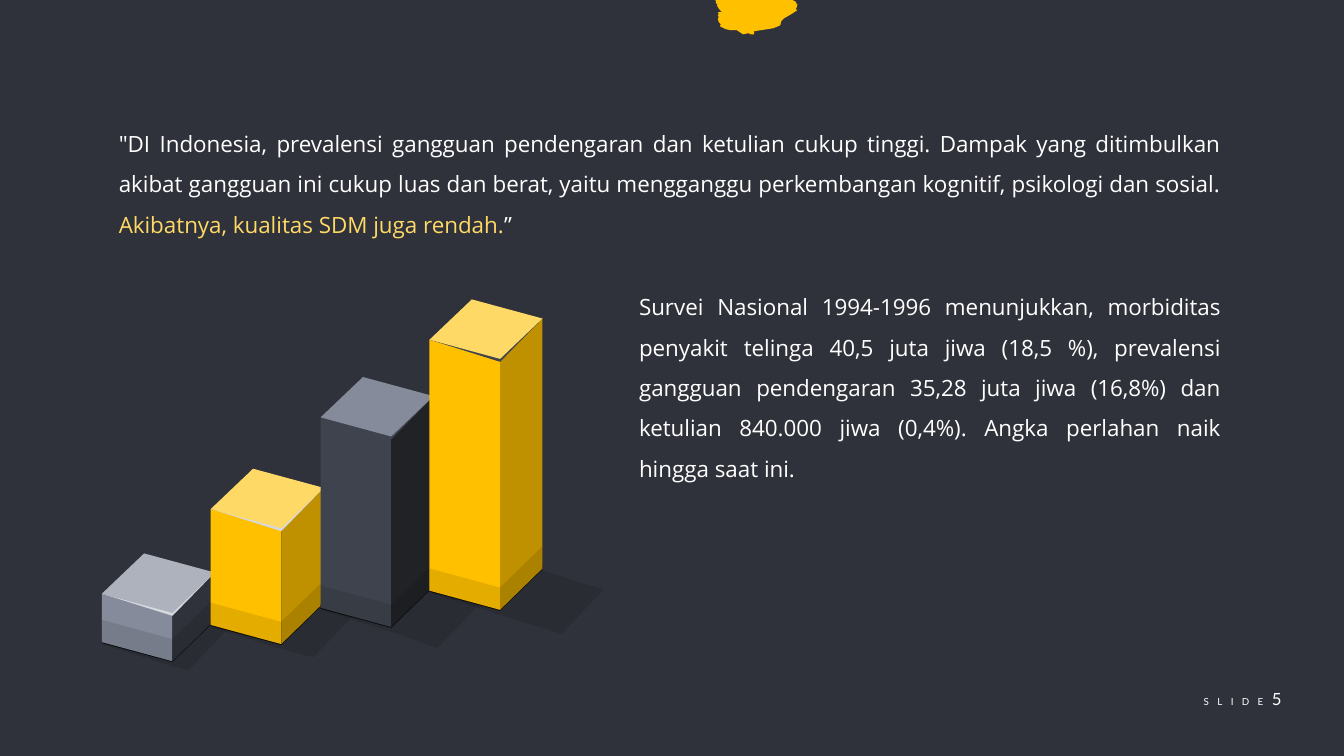
from dataclasses import dataclass

from lxml.etree import SubElement
from pptx import Presentation
from pptx.dml.color import RGBColor
from pptx.enum.text import MSO_AUTO_SIZE, PP_ALIGN
from pptx.oxml.ns import qn
from pptx.util import Inches, Pt


@dataclass(frozen=True)
class Theme:
    back: str = "2F323A"
    ink: str = "FFFFFF"
    gold: str = "FFC000"
    amber: str = "BF9000"
    light: str = "FFD966"
    black: str = "000000"
    slate: str = "858B9B"
    silver: str = "AEB2BC"
    pale: str = "D6D8DE"
    coal: str = "3F434D"
    dark: str = "202226"
    body: str = "Open Sans"
    foot: str = "Lato"
    text: int = 16
    number: int = 12
    label: int = 7


class Deck:
    """Draws styled elements on the current slide."""

    def __init__(self, theme):
        self.theme = theme
        self.file = Presentation()
        self.file.slide_width, self.file.slide_height = Inches(13.33), Inches(7.5)
        self.slide = self.file.slides.add_slide(self.file.slide_layouts[6])
        fill = self.slide.background.fill
        fill.solid()
        fill.fore_color.rgb = RGBColor.from_string(theme.back)

    def outline(self, shapes, points, color, alpha=100):
        grid = [(round(x * 100), round(y * 100)) for x, y in points]
        pen = shapes.build_freeform(*grid[0], scale=Inches(0.01))
        pen.add_line_segments(grid[1:], close=True)
        shape = pen.convert_to_shape()
        shape.shadow.inherit = False
        shape.line.fill.background()
        shape.fill.solid()
        shape.fill.fore_color.rgb = RGBColor.from_string(color)
        if alpha < 100:
            tint = shape.fill._xPr.find(".//" + qn("a:srgbClr"))
            SubElement(tint, qn("a:alpha"), val=str(alpha * 1000))

    def bar(self, shapes, left, top, base, reach, drop, colors):
        front, side, rim, lid = colors
        black = self.theme.black
        faces = (
            ([(0.7, base + 0.15), (0, base - 0.04), (0, base + 0.01),
              (0.7, base + 0.2), (1.12, base - 0.21), (1.12, base - 0.26)], black, 75),
            ([(0, base + 0.02), (0.7, base + 0.24), (0.7 + reach, base + 0.24 + drop),
              (1.12 + reach, base - 0.2 + drop), (1.12, base - 0.2)], black, 10),
            ([(0.7, base + 0.19), (0, base), (0, top), (0.7, top + 0.19)], front, 100),
            ([(0.7, base + 0.19), (1.12, base - 0.22), (1.12, top - 0.22),
              (0.7, top + 0.19)], side, 100),
            ([(0.7, base - 0.03), (0, base - 0.22), (0, base), (0.7, base + 0.19),
              (1.12, base - 0.22), (1.12, base - 0.44)], black, 10),
            ([(0, top), (0.69, top + 0.17), (1.12, top - 0.21),
              (0.7, top + 0.22)], rim, 100),
            ([(0, top), (0.42, top - 0.4), (1.12, top - 0.21),
              (0.7, top + 0.19)], lid, 100),
        )
        for points, color, alpha in faces:
            self.outline(shapes, [(left + x, y) for x, y in points], color, alpha)

    def text(self, place, runs, font, wrap=True, **form):
        box = self.slide.shapes.add_textbox(*map(Inches, place))
        frame = box.text_frame
        frame.word_wrap = wrap
        frame.auto_size = MSO_AUTO_SIZE.SHAPE_TO_FIT_TEXT
        para = frame.paragraphs[0]
        for name, value in form.items():
            setattr(para, name, value)
        for words, size, color, gap in runs:
            run = para.add_run()
            run.text = words
            for name, value in {"name": font, "size": Pt(size)}.items():
                setattr(run.font, name, value)
            run.font.color.rgb = RGBColor.from_string(color)
            if gap:
                run.font._element.set("spc", str(gap * 100))


BLOB = [
    (7.08, -0.06), (7.11, -0.06), (7.14, -0.08), (7.17, -0.11), (7.23, -0.12),
    (7.29, -0.14), (7.44, -0.17), (7.54, -0.16), (7.65, -0.15), (7.72, -0.17),
    (7.8, -0.18), (7.84, -0.15), (7.86, -0.08), (7.83, -0.03), (7.86, 0),
    (7.88, 0.01), (7.9, 0.02), (7.89, 0.03), (7.91, 0.04), (7.9, 0.08),
    (7.89, 0.09), (7.91, 0.1), (7.88, 0.12), (7.85, 0.14), (7.78, 0.18),
    (7.75, 0.21), (7.74, 0.25), (7.72, 0.26), (7.67, 0.28), (7.61, 0.29),
    (7.48, 0.31), (7.48, 0.34), (7.45, 0.34), (7.42, 0.33), (7.37, 0.34),
    (7.34, 0.32), (7.31, 0.3), (7.25, 0.3), (7.2, 0.29), (7.16, 0.27),
    (7.14, 0.26), (7.15, 0.24), (7.13, 0.22), (7.12, 0.19), (7.13, 0.17),
    (7.12, 0.15), (7.13, 0.14), (7.12, 0.12), (7.16, 0.12), (7.14, 0.1),
    (7.12, 0.07), (7.11, 0.05), (7.12, 0.05), (7.1, 0.03), (7.1, 0.01),
    (7.09, -0.01), (7.09, -0.04),
]


def main():
    look = Theme()
    deck = Deck(look)
    deck.text((11.84, 6.78, 1.03, 0.3), [
        ("SLIDE", look.label, look.ink, 6),
        ("5", look.number, look.ink, 0),
    ], look.foot, wrap=False)

    chart = deck.slide.shapes.add_group_shape().shapes
    bars = (
        (5.89, 6.37, 0.16, 0.04, (look.slate, look.back, look.pale, look.silver)),
        (5.05, 6.2, 0.32, 0.08, (look.gold, look.amber, look.pale, look.light)),
        (4.14, 6.03, 0.46, 0.16, (look.coal, look.dark, look.coal, look.slate)),
        (3.37, 5.86, 0.61, 0.19, (look.gold, look.amber, look.coal, look.light)),
    )
    for index, bar in enumerate(bars):
        deck.bar(chart, 1.01 + index * 1.083, *bar)
    deck.outline(deck.slide.shapes, BLOB, look.gold)

    form = {"alignment": PP_ALIGN.JUSTIFY, "line_spacing": 1.5}
    deck.text((1.08, 1.11, 11.13, 1.31), [
        ('"DI Indonesia, prevalensi gangguan pendengaran dan ketulian cukup tinggi. '
         "Dampak yang ditimbulkan akibat gangguan ini cukup luas dan berat, yaitu "
         "mengganggu perkembangan kognitif, psikologi dan sosial. ",
         look.text, look.ink, 0),
        ("Akibatnya, kualitas SDM juga rendah.", look.text, look.light, 0),
        ("”", look.text, look.ink, 0),
    ], look.body, **form)
    deck.text((6.24, 2.73, 5.97, 2.12), [
        ("Survei Nasional 1994-1996 menunjukkan, morbiditas penyakit telinga "
         "40,5 juta jiwa (18,5 %), prevalensi gangguan pendengaran 35,28 juta jiwa "
         "(16,8%) dan ketulian 840.000 jiwa (0,4%). Angka perlahan naik hingga saat ini.",
         look.text, look.ink, 0),
    ], look.body, **form)
    deck.file.save("out.pptx")


if __name__ == "__main__":
    main()
